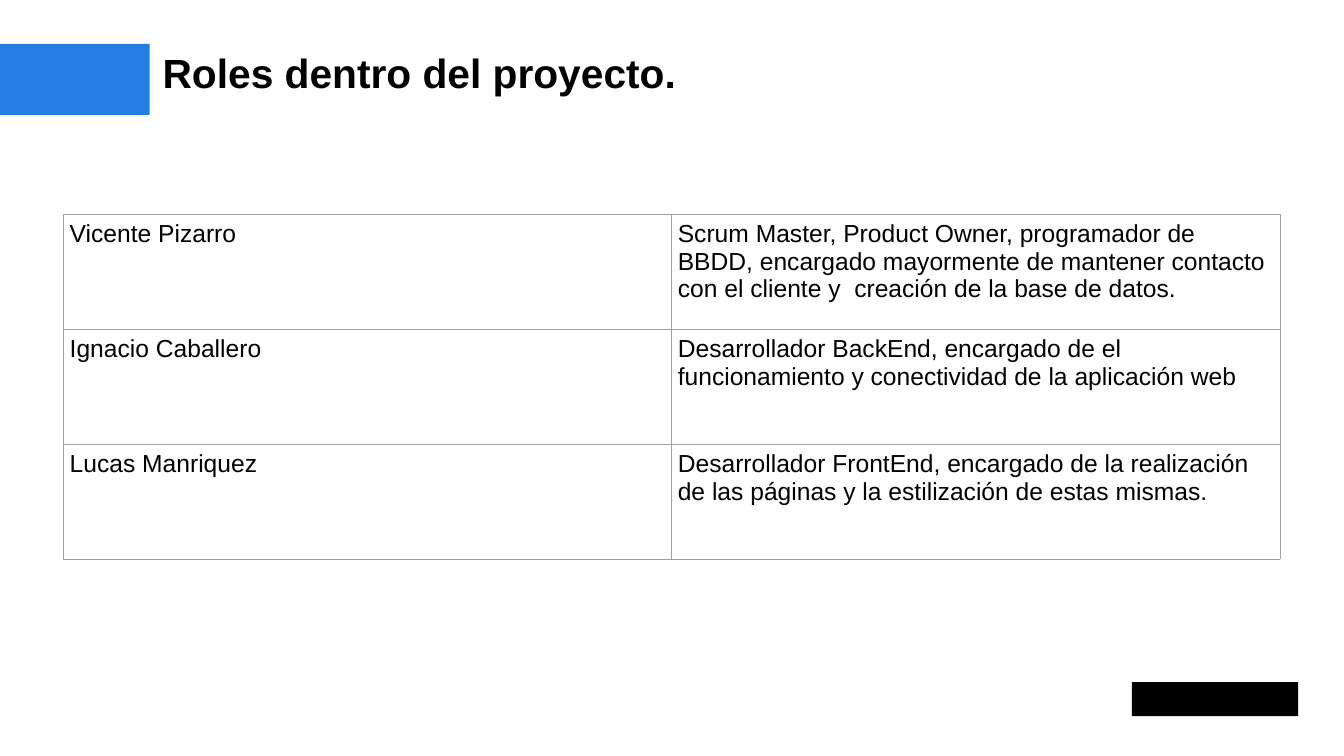
from dataclasses import dataclass

from lxml.etree import SubElement
from pptx import Presentation
from pptx.dml.color import RGBColor
from pptx.enum.shapes import MSO_SHAPE as Shape
from pptx.oxml.ns import qn
from pptx.util import Inches, Pt


@dataclass(frozen=True)
class Theme:
    font: str = "Arial"
    title_size: int = 48
    body_size: int = 29
    text: str = "000000"
    accent: str = "257CE1"
    border: str = "9E9E9E"
    border_width: float = 0.75


THEME = Theme()

ROLES = [
    ("Vicente Pizarro",
     "Scrum Master, Product Owner, programador de BBDD, encargado mayormente "
     "de mantener contacto con el cliente y  creación de la base de datos."),
    ("Ignacio Caballero",
     "Desarrollador BackEnd, encargado de el funcionamiento y conectividad "
     "de la aplicación web"),
    ("Lucas Manriquez",
     "Desarrollador FrontEnd, encargado de la realización de las páginas "
     "y la estilización de estas mismas."),
]


def set_text(text_frame, text, size, margin, bold=False):
    text_frame.text = text
    text_frame.word_wrap = True
    text_frame.margin_left = text_frame.margin_right = Inches(margin)
    text_frame.margin_top = text_frame.margin_bottom = Inches(margin)
    font = text_frame.paragraphs[0].runs[0].font
    font.name, font.size, font.bold = THEME.font, Pt(size), bold
    font.color.rgb = RGBColor.from_string(THEME.text)


def add_block(slide, box, color):
    block = slide.shapes.add_shape(Shape.RECTANGLE, *map(Inches, box))
    block.shadow.inherit = False
    block.fill.solid()
    block.fill.fore_color.rgb = RGBColor.from_string(color)
    block.line.fill.background()


def set_borders(cell):
    properties = cell._tc.get_or_add_tcPr()
    for position, side in enumerate(("a:lnL", "a:lnR", "a:lnT", "a:lnB")):
        line = properties.makeelement(qn(side), {"w": str(Pt(THEME.border_width))})
        fill = SubElement(line, qn("a:solidFill"))
        SubElement(fill, qn("a:srgbClr"), val=THEME.border)
        properties.insert(position, line)


def add_header(slide, box):
    left, top, width, height = box
    bar_width = 2.45
    # Accent bar at the slide edge
    add_block(slide, (left, top, bar_width, height), THEME.accent)
    # Title beside the bar
    title_left = left + bar_width + 0.21
    title = slide.shapes.add_textbox(
        Inches(title_left), Inches(top + 0.06),
        Inches(left + width - title_left), Inches(0.81))
    set_text(title.text_frame, "Roles dentro del proyecto.",
             THEME.title_size, margin=0, bold=True)


def add_roles_table(slide, box):
    frame = slide.shapes.add_table(len(ROLES), len(ROLES[0]), *map(Inches, box))
    table = frame.table
    table.first_row = table.horz_banding = False
    for row, role in enumerate(ROLES):
        for column, text in enumerate(role):
            cell = table.cell(row, column)
            set_text(cell.text_frame, text, THEME.body_size, margin=0.1)
            cell.margin_left = cell.margin_right = Inches(0.1)
            cell.margin_top = cell.margin_bottom = Inches(0.1)
            cell.fill.background()
            set_borders(cell)


def main():
    presentation = Presentation()
    presentation.slide_width = Inches(21.99)
    presentation.slide_height = Inches(12.37)
    slide = presentation.slides.add_slide(presentation.slide_layouts[6])

    add_header(slide, (0, 0.72, 21.24, 1.16))
    add_roles_table(slide, (1.04, 3.51, 19.9, 5.64))
    # Plain mark in the bottom corner
    add_block(slide, (18.52, 11.16, 2.72, 0.56), THEME.text)

    presentation.save("out.pptx")


if __name__ == "__main__":
    main()
